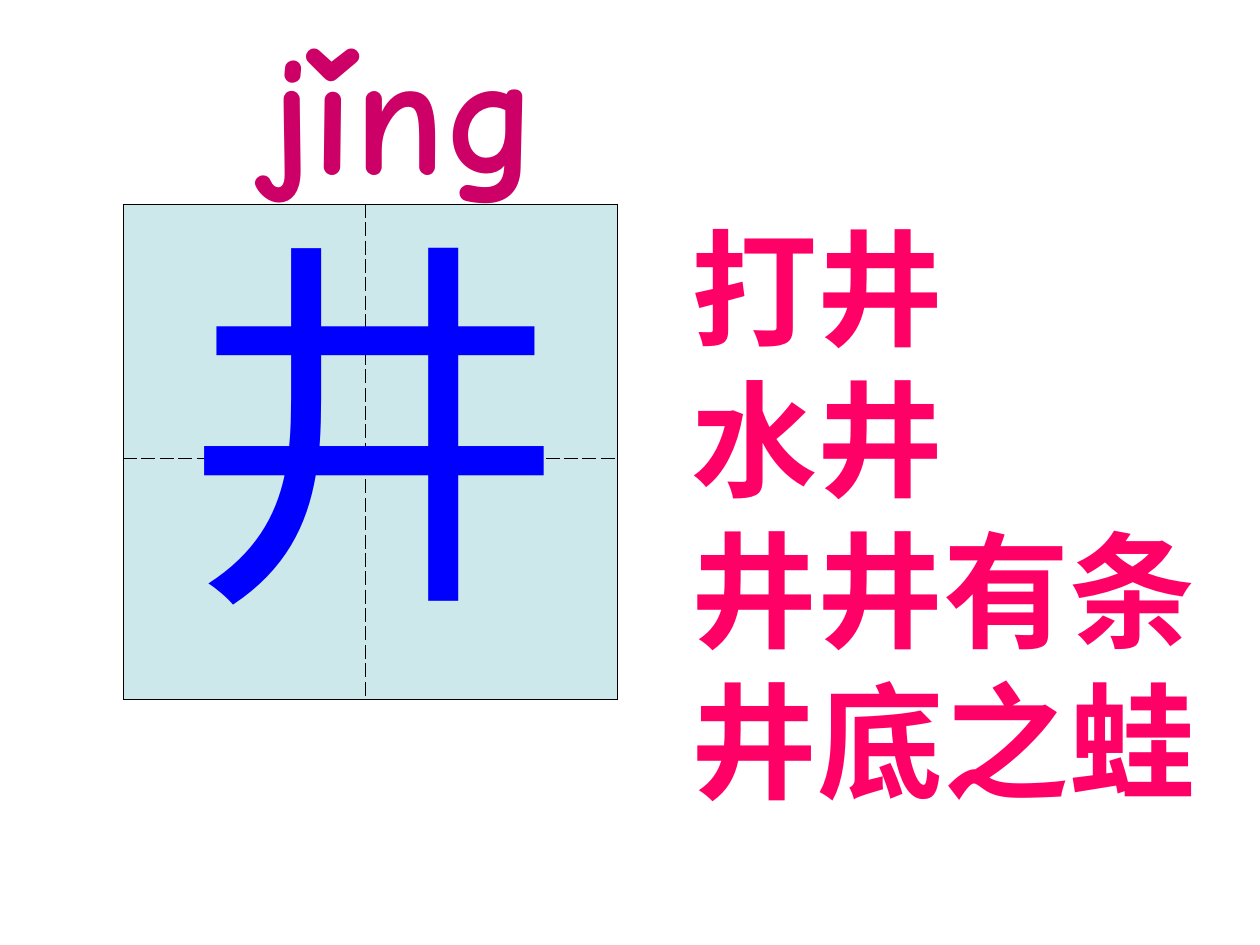
from pptx import Presentation, util as u
from pptx.dml.color import RGBColor
from pptx.enum import text
from pptx.oxml import ns
from lxml import etree

PALE_TEAL = RGBColor(0xCC, 0xE8, 0xEA)
CRIMSON = RGBColor(0xCC, 0x00, 0x66)
BLUE = RGBColor(0x00, 0x00, 0xFF)
PINK = RGBColor(0xFF, 0x00, 0x66)
BLACK = RGBColor(0x00, 0x00, 0x00)


class CharacterCard:
    cjk_font = "Arial"
    pinyin_font = "Comic Neue"
    border_width = u.Pt(0.45)

    def __init__(self, presentation):
        self.slide = presentation.slides.add_slide(presentation.slide_layouts[6])

    def border(self, cell, side, dash):
        properties = cell._tc.get_or_add_tcPr()
        line = etree.SubElement(properties, ns.qn(f"a:ln{side}"), w=str(int(self.border_width)))
        fill = etree.SubElement(line, ns.qn("a:solidFill"))
        etree.SubElement(fill, ns.qn("a:srgbClr"), val=str(BLACK))
        etree.SubElement(line, ns.qn("a:prstDash"), val=dash)

    def writing_grid(self, left, top, widths, heights):
        rows, columns = len(heights), len(widths)
        table = self.slide.shapes.add_table(
            rows, columns, u.Inches(left), u.Inches(top),
            u.Inches(sum(widths)), u.Inches(sum(heights))).table
        table.first_row = False
        table.horz_banding = False
        for column, width in zip(table.columns, widths):
            column.width = u.Inches(width)
        for row, height in zip(table.rows, heights):
            row.height = u.Inches(height)
        for row in range(rows):
            for column in range(columns):
                cell = table.cell(row, column)
                outer_sides = {"L": column == 0, "R": column == columns - 1,
                               "T": row == 0, "B": row == rows - 1}
                for side, outer in outer_sides.items():
                    self.border(cell, side, "solid" if outer else "dash")
                cell.fill.solid()
                cell.fill.fore_color.rgb = PALE_TEAL

    def text_box(self, left, top, width, height, lines, size, color,
                 font=cjk_font, bold=False, wrap=True):
        shape = self.slide.shapes.add_textbox(
            u.Inches(left), u.Inches(top), u.Inches(width), u.Inches(height))
        frame = shape.text_frame
        frame.word_wrap = wrap
        frame.auto_size = text.MSO_AUTO_SIZE.SHAPE_TO_FIT_TEXT
        for index, line in enumerate(lines):
            paragraph = frame.add_paragraph() if index else frame.paragraphs[0]
            run = paragraph.add_run()
            run.text = line
            run.font.size = u.Pt(size)
            run.font.bold = bold
            run.font.color.rgb = color
            run.font.name = font
            properties = run._r.get_or_add_rPr()
            properties.set("lang", "zh-CN")
            etree.SubElement(properties, ns.qn("a:ea"), typeface=font)


def main():
    presentation = Presentation()
    presentation.slide_width = u.Inches(10)
    presentation.slide_height = u.Inches(7.5)
    card = CharacterCard(presentation)
    card.writing_grid(0.98, 1.62, widths=[1.92, 2], heights=[2.02, 1.91])
    card.text_box(2.04, 0, 3.75, 1.7, ["jǐng"], 96, CRIMSON,
                  font=card.pinyin_font, bold=True)
    card.text_box(1.34, 1.42, 3.25, 3.77, ["井"], 220, BLUE, wrap=False)
    card.text_box(5.39, 1.62, 4.25, 4.9, ["打井", "水井", "井井有条井底之蛙"],
                  72, PINK, bold=True)
    presentation.save("out.pptx")


if __name__ == "__main__":
    main()
